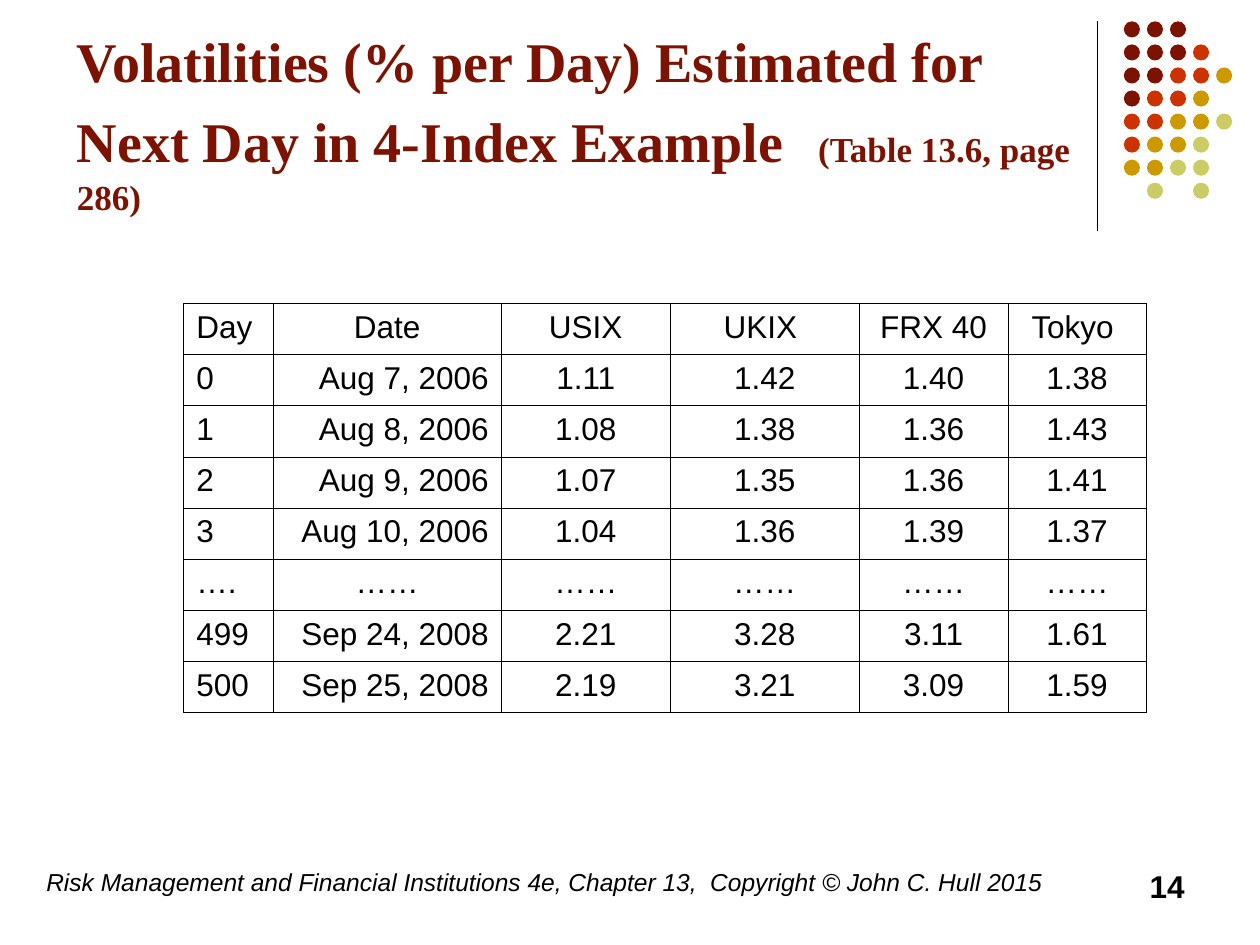
"""Build the slide of volatility estimates for the four-index example."""
from dataclasses import dataclass
from typing import Optional

from lxml.etree import SubElement
from pptx import Presentation
from pptx.dml.color import RGBColor
from pptx.enum.shapes import MSO_CONNECTOR, MSO_SHAPE
from pptx.enum.text import MSO_ANCHOR, MSO_AUTO_SIZE, PP_ALIGN
from pptx.oxml.ns import qn
from pptx.util import Pt

MAROON, BLACK = "7C1302", "000000"
DOT_COLORS = {"m": MAROON, "r": "CC3300", "g": "CC9900", "y": "CCCC66"}
DOT_ROWS = ["mmm", "mmmr", "mmrrg", "mrrg", "rrggy", "rggy", "ggyy", " y y"]
DOT_LEFT, DOT_TOP, DOT_PITCH, DOT_SIZE = 642.2, 12.2, 13.17, 9.2

TABLE_LEFT, TABLE_TOP, ROW_HEIGHT = 105, 173.5, 29.2
COLUMN_WIDTHS = [51, 130.5, 96.5, 108, 85, 79]
HEADERS = ["Day", "Date", "USIX", "UKIX ", "FRX 40", "Tokyo "]
VOLATILITIES = [
    ["0", "Aug 7, 2006", "1.11", "1.42", "1.40", "1.38"],
    ["1", "Aug 8, 2006", "1.08", "1.38", "1.36", "1.43"],
    ["2", "Aug 9, 2006", "1.07", "1.35", "1.36", "1.41"],
    ["3", "Aug 10, 2006", "1.04", "1.36", "1.39", "1.37"],
    ["….", "……", "……", "……", "……", "……"],
    ["499", "Sep 24, 2008", "2.21", "3.28", "3.11", "1.61"],
    ["500", "Sep 25, 2008", "2.19", "3.21", "3.09", "1.59"],
]


@dataclass
class Run:
    text: str
    size: float
    font: str = "Arial"
    color: str = BLACK
    bold: bool = False
    italic: bool = False


@dataclass
class Label:
    left: float
    width: float
    run: Run
    align: PP_ALIGN = PP_ALIGN.LEFT


TITLE_RUNS = [
    Run(text, size, "Times New Roman", MAROON, bold=True)
    for text, size in [
        ("Volatilities (% per Day) Estimated for Next Day in 4-Index Example", 32),
        ("  ", 39),
        ("(Table 13.6, page 286)", 20),
    ]
]
FOOTERS = [
    Label(19.4, 595.4, Run("Risk Management and Financial Institutions 4e, Chapter 13,  "
                           "Copyright © John C. Hull 2015", 14, italic=True)),
    Label(516.2, 167.8, Run("14", 18, bold=True), PP_ALIGN.RIGHT),
]


def rgb(color: str) -> RGBColor:
    return RGBColor.from_string(color)


def add_run(p, run: Run) -> None:
    r = p.add_run()
    r.text = run.text
    r.font.size = Pt(run.size)
    r.font.name = run.font
    r.font.bold = run.bold
    r.font.italic = run.italic
    r.font.color.rgb = rgb(run.color)


def set_title(s) -> None:
    sp = s.shapes.title
    sp.left, sp.top, sp.width, sp.height = Pt(36.7), Pt(26), Pt(594), Pt(102.2)
    tf = sp.text_frame
    tf.auto_size = MSO_AUTO_SIZE.NONE
    tf.word_wrap = True
    tf.vertical_anchor = MSO_ANCHOR.BOTTOM
    p = tf.paragraphs[0]
    p.alignment = PP_ALIGN.LEFT
    for run in TITLE_RUNS:
        add_run(p, run)


def add_divider(s) -> None:
    line = s.shapes.add_connector(MSO_CONNECTOR.STRAIGHT, Pt(627), Pt(12), Pt(627), Pt(132))
    line.line.color.rgb = rgb(BLACK)
    line.line.width = Pt(0.75)
    SubElement(line.element.spPr, qn("a:effectLst"))


def add_dots(s) -> None:
    group = s.shapes.add_group_shape()
    for row, codes in enumerate(DOT_ROWS):
        for column, code in enumerate(codes):
            if code not in DOT_COLORS:
                continue
            dot = group.shapes.add_shape(
                MSO_SHAPE.OVAL, Pt(DOT_LEFT + column * DOT_PITCH),
                Pt(DOT_TOP + row * DOT_PITCH), Pt(DOT_SIZE), Pt(DOT_SIZE))
            dot.shadow.inherit = False
            dot.fill.solid()
            dot.fill.fore_color.rgb = rgb(DOT_COLORS[code])
            dot.line.fill.background()


def add_label(s, label: Label) -> None:
    sp = s.shapes.add_textbox(Pt(label.left), Pt(491.8), Pt(label.width), Pt(36))
    tf = sp.text_frame
    tf.word_wrap = True
    p = tf.paragraphs[0]
    p.alignment = label.align
    add_run(p, label.run)


def set_borders(cell, color: str, width: float) -> None:
    tc_pr = cell._tc.get_or_add_tcPr()
    for side in ("a:lnL", "a:lnR", "a:lnT", "a:lnB"):
        ln = SubElement(tc_pr, qn(side), w=str(Pt(width)))
        fill = SubElement(ln, qn("a:solidFill"))
        SubElement(fill, qn("a:srgbClr"), val=color)


def cell_alignment(row: int, column: int, text: str) -> Optional[PP_ALIGN]:
    if column == 0:
        return PP_ALIGN.LEFT
    if column == 1 and row > 0 and text != "……":
        return PP_ALIGN.RIGHT
    return PP_ALIGN.CENTER


def add_volatility_table(s) -> None:
    rows = [HEADERS, *VOLATILITIES]
    table = s.shapes.add_table(
        len(rows), len(HEADERS), Pt(TABLE_LEFT), Pt(TABLE_TOP),
        Pt(sum(COLUMN_WIDTHS)), Pt(ROW_HEIGHT * len(rows))).table
    table.first_row = table.horz_banding = False
    for column, width in zip(table.columns, COLUMN_WIDTHS):
        column.width = Pt(width)
    for i, texts in enumerate(rows):
        table.rows[i].height = Pt(ROW_HEIGHT)
        for j, text in enumerate(texts):
            cell = table.cell(i, j)
            set_borders(cell, BLACK, 0.45)
            cell.fill.background()
            p = cell.text_frame.paragraphs[0]
            p.alignment = cell_alignment(i, j, text)
            add_run(p, Run(text, 18))


def main() -> None:
    prs = Presentation()
    prs.slide_width, prs.slide_height = Pt(720), Pt(540)
    s = prs.slides.add_slide(prs.slide_layouts.get_by_name("Title Only"))
    add_divider(s)
    add_dots(s)
    set_title(s)
    for label in FOOTERS:
        add_label(s, label)
    add_volatility_table(s)
    prs.save("out.pptx")


if __name__ == "__main__":
    main()
